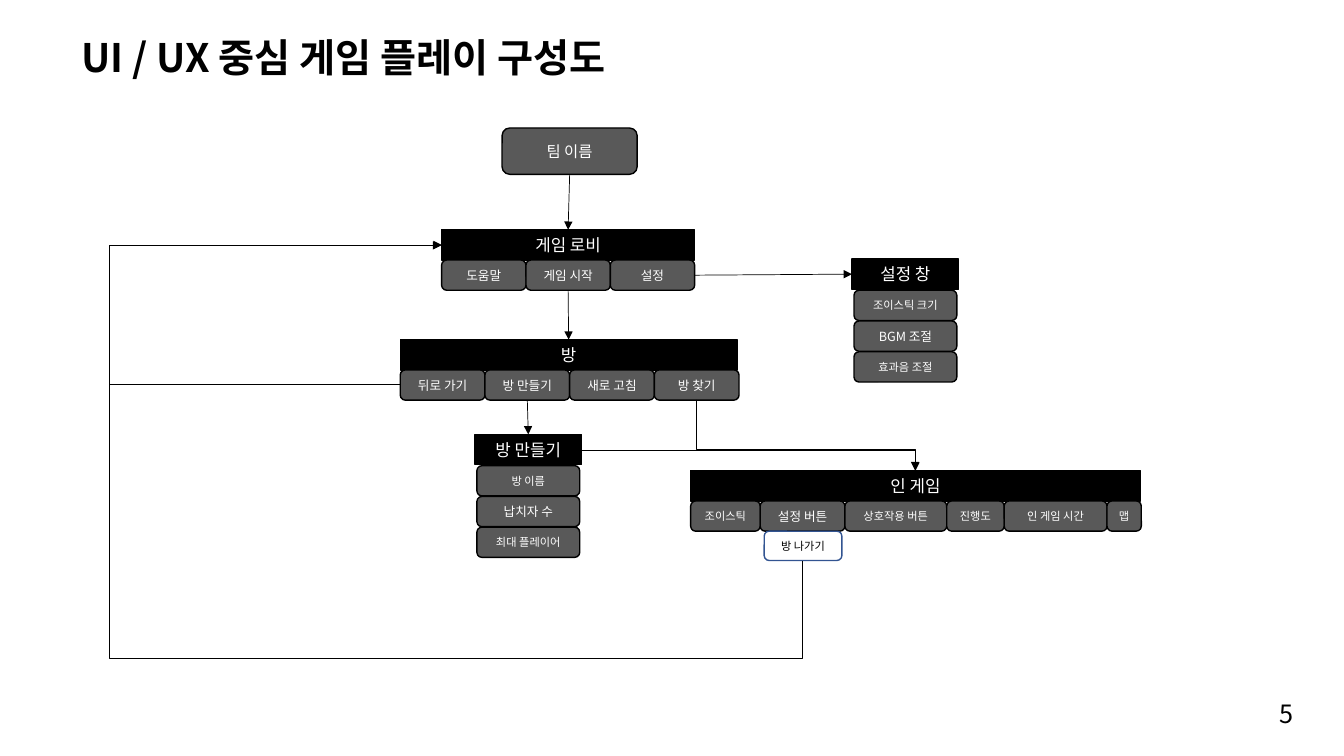
from itertools import accumulate

from lxml import etree
from pptx import Presentation
from pptx import util as u
from pptx.dml import color
from pptx.enum import shapes, text
from pptx.oxml import ns

COLORS = {"ink": "000000", "button": "595959", "paper": "FFFFFF", "exit": "325491"}
FONT = "Noto Sans CJK KR"
ROW = 0.3
STACK_STEP = 0.305
STACK_WIDTH = 1.02
BOTTOM, LEFT, RIGHT, TOP = 2, 1, 3, 0


def rgb(name):
    return color.RGBColor.from_string(COLORS[name])


def write(frame, wording, size, ink, **formats):
    paragraph = frame.paragraphs[0]
    run = paragraph.add_run()
    run.text = wording
    for key, value in {"name": FONT, "size": u.Pt(size), **formats}.items():
        setattr(run.font, key, value)
    run.font.color.rgb = rgb(ink)
    east_asian = etree.SubElement(run.font._element, ns.qn("a:ea"))
    east_asian.set("typeface", FONT)
    return paragraph


def label(slide, box, wording, size, wrap, **formats):
    frame = slide.shapes.add_textbox(*map(u.Inches, box)).text_frame
    frame.word_wrap = wrap
    frame.auto_size = text.MSO_AUTO_SIZE.SHAPE_TO_FIT_TEXT
    write(frame, wording, size, "ink", **formats)


def block(slide, box, wording, size, fill="button", line="ink", ink="paper", rounded=True):
    kind = shapes.MSO_SHAPE.ROUNDED_RECTANGLE if rounded else shapes.MSO_SHAPE.RECTANGLE
    node = slide.shapes.add_shape(kind, *map(u.Inches, box))
    node.shadow.inherit = False
    node.fill.solid()
    node.fill.fore_color.rgb = rgb(fill)
    node.line.color.rgb = rgb(line)
    node.line.width = u.Pt(1)
    node.text_frame.vertical_anchor = text.MSO_ANCHOR.MIDDLE
    write(node.text_frame, wording, size, ink).alignment = text.PP_ALIGN.CENTER
    return node


def header(slide, x, y, width, wording):
    return block(slide, (x, y, width, ROW), wording, 12, fill="ink", rounded=False)


def button_row(slide, x, y, width, heading, buttons):
    screen = header(slide, x, y, width, heading)
    offsets = accumulate((wide for _, wide, _ in buttons), initial=0)
    cells = [block(slide, (x + offset, y + ROW, wide, ROW), wording, size)
             for offset, (wording, wide, size) in zip(offsets, buttons)]
    return screen, cells


def button_stack(slide, x, y, width, heading, buttons):
    screen = header(slide, x, y, width, heading)
    left = x + (width - STACK_WIDTH) / 2
    for index, (wording, size) in enumerate(buttons):
        top = y + 0.31 + index * STACK_STEP
        block(slide, (left, top, STACK_WIDTH, ROW), wording, size)
    return screen


def arrow(slide, kind, x1, y1, x2, y2):
    link = slide.shapes.add_connector(kind, *map(u.Inches, (x1, y1, x2, y2)))
    link.line.color.rgb = rgb("ink")
    link.line.width = u.Pt(0.5)
    head = etree.SubElement(link.line._get_or_add_ln(), ns.qn("a:tailEnd"))
    head.set("type", "triangle")
    etree.SubElement(link._element.spPr, ns.qn("a:effectLst"))
    return link


def straight_arrow(slide, source, source_side, target, target_side):
    link = arrow(slide, shapes.MSO_CONNECTOR.STRAIGHT, 0, 0, 1, 1)
    link.begin_connect(source, source_side)
    link.end_connect(target, target_side)


def bent_arrow(slide, box, preset, turn=0, flip=False, bends=()):
    x, y, width, height = box
    link = arrow(slide, shapes.MSO_CONNECTOR.ELBOW, x, y, x + width, y + height)
    properties = link._element.spPr
    frame = properties.find(ns.qn("a:xfrm"))
    frame.set("rot", str(turn * 60000))
    frame.set("flipH", str(int(flip)))
    geometry = properties.find(ns.qn("a:prstGeom"))
    geometry.set("prst", preset)
    guides = geometry.find(ns.qn("a:avLst"))
    for number, bend in enumerate(bends, 1):
        guide = etree.SubElement(guides, ns.qn("a:gd"))
        guide.set("name", f"adj{number}")
        guide.set("fmla", f"val {round(bend * 100000)}")


def flow_chart(slide, x, y):
    team = block(slide, (x + 3.9, y, 1.34, 0.46), "팀 이름", 11)
    lobby, (_, start, settings) = button_row(
        slide, x + 3.3, y + 1.01, 2.51, "게임 로비",
        [(wording, 2.51 / 3, 9) for wording in ("도움말", "게임 시작", "설정")])
    options = button_stack(
        slide, x + 7.37, y + 1.3, 1.06, "설정 창",
        [("조이스틱 크기", 8), ("BGM 조절", 9), ("효과음 조절", 8)])
    room, (_, create, _, _) = button_row(
        slide, x + 2.89, y + 2.1, 3.34, "방",
        [(wording, 0.84, 9) for wording in ("뒤로 가기", "방 만들기", "새로 고침", "방 찾기")])
    new_room = button_stack(
        slide, x + 3.63, y + 3.04, 1.06, "방 만들기",
        [("방 이름", 8), ("납치자 수", 9), ("최대 플레이어", 8)])
    button_row(
        slide, x + 5.77, y + 3.4, 4.46, "인 게임",
        [("조이스틱", 0.69, 8), ("설정 버튼", 0.84, 9), ("상호작용 버튼", 1.01, 8),
         ("진행도", 0.57, 8), ("인 게임 시간", 1.02, 8), ("맵", 0.34, 8)])
    block(slide, (x + 6.5, y + 4, 0.77, 0.29), "방 나가기", 8,
          fill="paper", line="exit", ink="ink")

    for source, source_side, target, target_side in (
            (team, BOTTOM, lobby, TOP), (settings, RIGHT, options, LEFT),
            (start, BOTTOM, room, TOP), (create, BOTTOM, new_room, TOP)):
        straight_arrow(slide, source, source_side, target, target_side)

    bent_arrow(slide, (x + 2.89, y + 1.16, 0.41, 1.38), "bentConnector3", 180, True, [-7.05])
    bent_arrow(slide, (x + 6.56, y + 1.96, 0.7, 2.17), "bentConnector3", 270, True, [0.7])
    bent_arrow(slide, (x + 4.69, y + 3.2, 3.31, 0.2), "bentConnector2")
    bent_arrow(slide, (x + 3.52, y + 0.94, 3.13, 3.58), "bentConnector4", 90, True, [-0.31, 1.92])


def main():
    deck = Presentation()
    deck.slide_width, deck.slide_height = u.Inches(13.33), u.Inches(7.5)
    slide = deck.slides.add_slide(deck.slide_layouts[6])
    label(slide, (0.71, 0.28, 7.31, 0.57), "UI / UX 중심 게임 플레이 구성도", 28, True, bold=True)
    flow_chart(slide, 1.08, 1.27)
    label(slide, (12.59, 6.88, 0.34, 0.4), "5", 18, False)
    deck.save("out.pptx")


if __name__ == "__main__":
    main()
